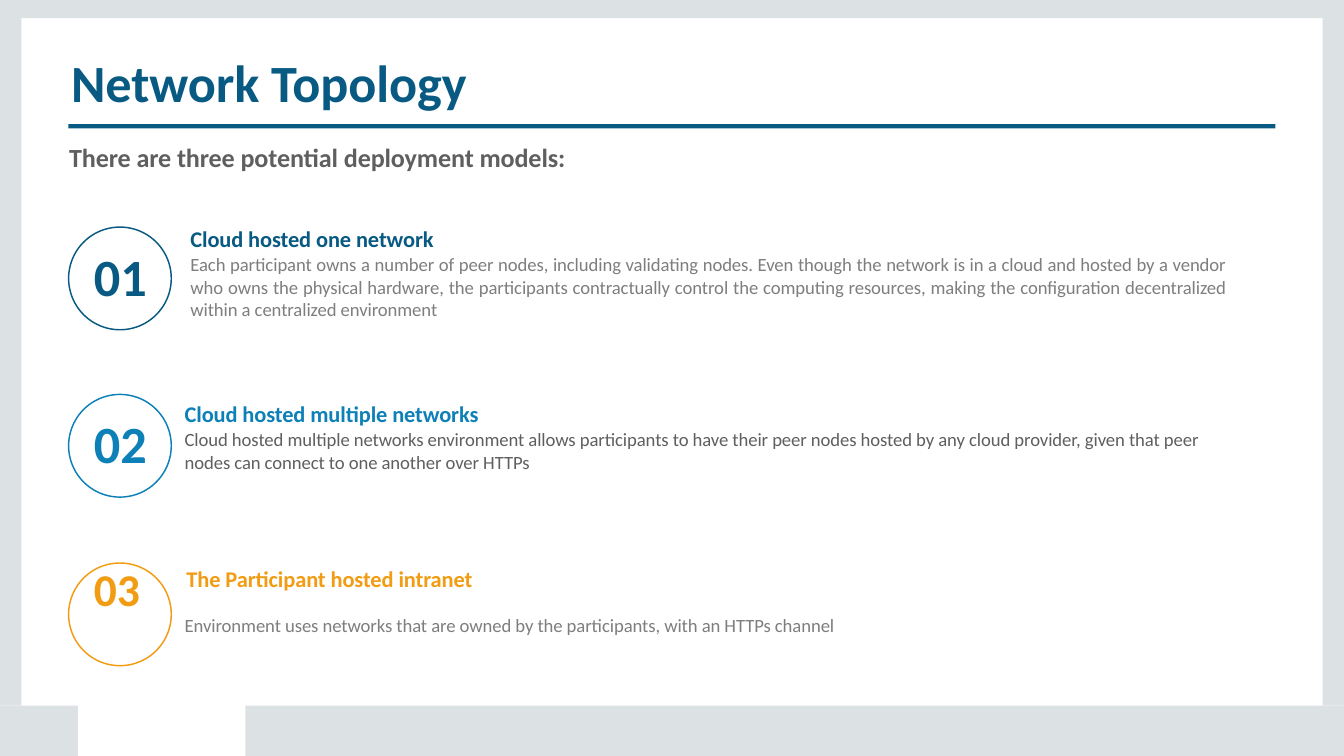
import pptx
import pptx.dml.color
import pptx.enum.shapes
import pptx.enum.text
import pptx.util

Pt = pptx.util.Pt
SHAPES = pptx.enum.shapes.MSO_SHAPE
ALIGN = pptx.enum.text.PP_ALIGN

WIDTH, HEIGHT = 1440, 810
NAVY, BLUE, ORANGE = "095A82", "0D80B8", "F19C13"
FRAME, GREY, DARK_GREY = "DCE2E3", "7E7E7E", "5F5F5F"
CIRCLE_LEFT, CIRCLE_SIZE = 73.5, 110
NUMBER_LEFT, TEXT_LEFT = 98.6, 195.8


def rgb(value):
    return pptx.dml.color.RGBColor.from_string(value)


class SlideBuilder:
    font_name = "Calibri"
    letter_spacing = -0.1

    def __init__(self, slide):
        self.slide = slide

    def rectangle(self, left, top, width, height, color):
        shape = self.slide.shapes.add_shape(
            SHAPES.RECTANGLE, Pt(left), Pt(top), Pt(width), Pt(height))
        shape.shadow.inherit = False
        shape.fill.solid()
        shape.fill.fore_color.rgb = rgb(color)
        shape.line.fill.background()

    def circle(self, left, top, size, color):
        shape = self.slide.shapes.add_shape(
            SHAPES.OVAL, Pt(left), Pt(top), Pt(size), Pt(size))
        shape.shadow.inherit = False
        shape.fill.background()
        shape.line.color.rgb = rgb(color)
        shape.line.width = Pt(1.56)

    def frame(self, shape, left, top, width, height, inset_top=2.2):
        box = dict(left=left, top=top, width=width, height=height)
        for name, value in box.items():
            setattr(shape, name, Pt(value))
        text_frame = shape.text_frame
        style = dict(
            word_wrap=True, auto_size=pptx.enum.text.MSO_AUTO_SIZE.NONE,
            vertical_anchor=pptx.enum.text.MSO_ANCHOR.TOP,
            margin_left=Pt(2), margin_top=Pt(inset_top),
            margin_right=0, margin_bottom=0)
        for name, value in style.items():
            setattr(text_frame, name, value)
        return text_frame

    def title(self, text, *box):
        paragraph = self.frame(self.slide.shapes.title, *box).paragraphs[0]
        paragraph.alignment = ALIGN.LEFT
        self.run(paragraph, text, 56, NAVY)

    def text_box(self, *box):
        return self.frame(self.slide.shapes.add_textbox(0, 0, 0, 0), *box)

    def run(self, paragraph, text, size, color, bold=True):
        run = paragraph.add_run()
        run.text = text
        style = dict(name=self.font_name, size=Pt(size), bold=bold)
        for name, value in style.items():
            setattr(run.font, name, value)
        run.font.color.rgb = rgb(color)
        run._r.get_or_add_rPr().set("spc", str(round(self.letter_spacing * 100)))

    def line(self, text, size, color, *box, bold=True):
        paragraph = self.text_box(*box).paragraphs[0]
        self.run(paragraph, text, size, color, bold)

    def description(self, heading, body, color, body_color, align, *box):
        text_frame = self.text_box(*box, 3.6)
        self.run(text_frame.paragraphs[0], heading, 24, color)
        paragraph = text_frame.add_paragraph()
        paragraph.alignment = align
        paragraph.space_before = Pt(1.4)
        self.run(paragraph, body, 20, body_color, bold=False)


def main():
    presentation = pptx.Presentation()
    presentation.slide_width, presentation.slide_height = Pt(WIDTH), Pt(HEIGHT)
    slide = presentation.slides.add_slide(presentation.slide_layouts[5])
    builder = SlideBuilder(slide)

    # Grey frame with a gap at the bottom left
    side, top, bottom = 23, 19.4, 756
    for box in (
        (WIDTH - side, top, side, bottom - top),
        (0, top, side, bottom - top),
        (262.8, bottom, WIDTH - 262.8, HEIGHT - bottom),
        (0, bottom, 83.5, HEIGHT - bottom),
        (0, 0, WIDTH, top),
    ):
        builder.rectangle(*box, FRAME)

    # Title, rule and introduction
    builder.title("Network Topology", 74.2, 51.1, 434.9, 69.8)
    builder.rectangle(73.4, 133, 1293.2, 4.6, NAVY)
    builder.line("There are three potential deployment models:", 28, DARK_GREY,
                 72, 149, 542, 36)

    # Numbered circles
    for number, color, circle_top, size, number_top in (
        ("01", NAVY, 243.3, 56, 259.2),
        ("02", BLUE, 422.6, 56, 438.5),
        ("03", ORANGE, 603.2, 48.7, 598.5),
    ):
        builder.circle(CIRCLE_LEFT, circle_top, CIRCLE_SIZE, color)
        builder.line(number, size, color, NUMBER_LEFT, number_top, 60.5, 69.8)

    # First two models
    builder.description(
        "Cloud hosted one network",
        "Each participant owns a number of peer nodes, including validating "
        "nodes. Even though the network is in a cloud and hosted by a vendor "
        "who owns the physical hardware, the participants contractually "
        "control the computing resources, making the configuration "
        "decentralized within a centralized environment",
        NAVY, GREY, ALIGN.JUSTIFY, 202, 237.6, 1111, 106.6)
    builder.description(
        "Cloud hosted multiple networks",
        "Cloud hosted multiple networks environment allows participants to "
        "have their peer nodes hosted by any cloud provider, given that peer "
        "nodes can connect to one another over HTTPs",
        BLUE, DARK_GREY, ALIGN.LEFT, TEXT_LEFT, 424.8, 1107.4, 82)

    # Third model, with its heading set apart from the body
    builder.line("The Participant hosted intranet", 24, ORANGE,
                 TEXT_LEFT + 2, 603.2, 706, 34)
    builder.line(
        "Environment uses networks that are owned by the participants, "
        "with an HTTPs channel",
        20, GREY, TEXT_LEFT, 655, 708, 28, bold=False)

    presentation.save("out.pptx")


if __name__ == "__main__":
    main()
